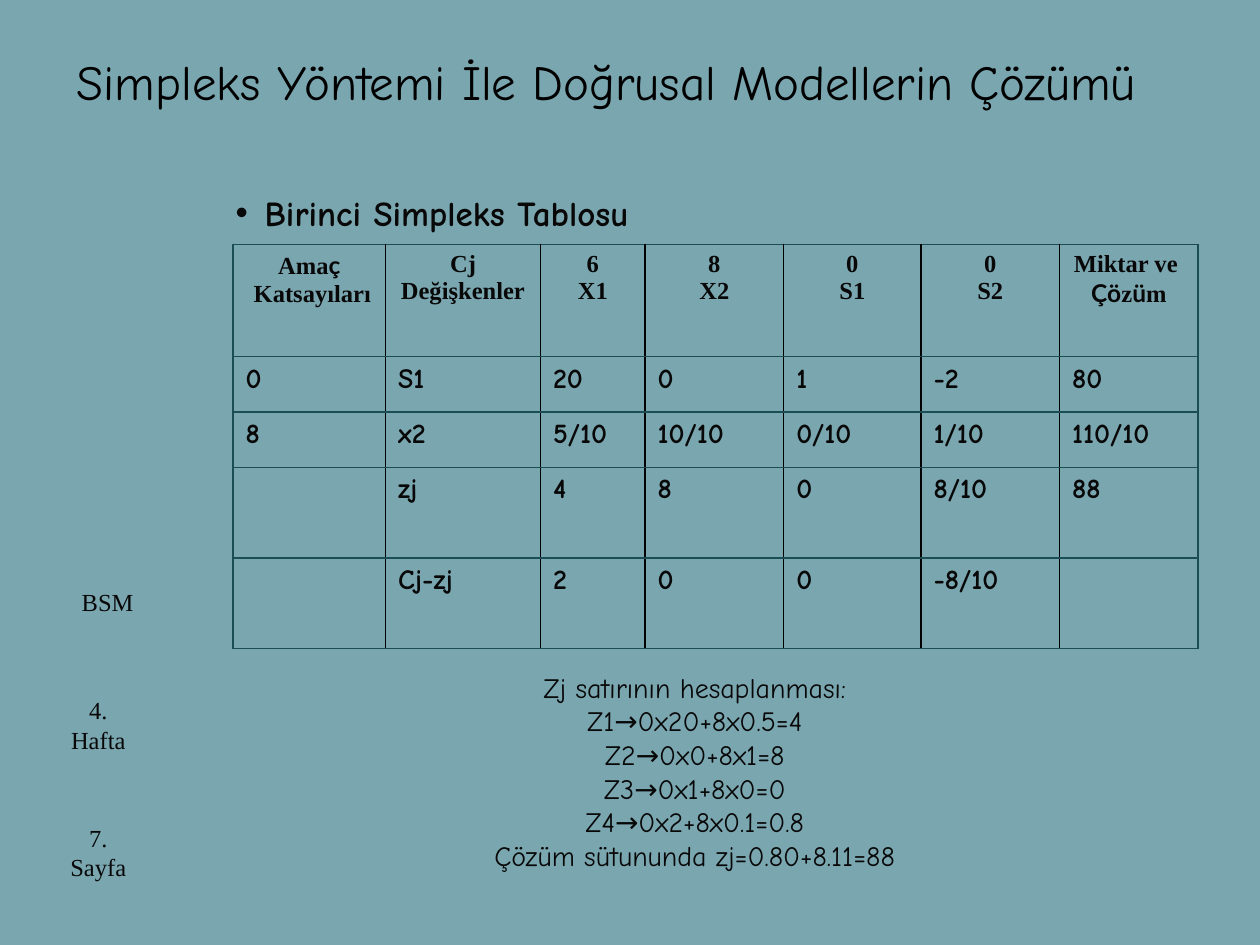
from dataclasses import dataclass
from itertools import groupby

from lxml import etree
from pptx import Presentation
from pptx.dml.color import RGBColor
from pptx.enum import text as t
from pptx.oxml import ns
from pptx.util import Inches, Pt


@dataclass(frozen=True)
class Theme:
    background: str = "7AA6B0"
    title: str = "000000"
    ink: str = "080808"
    frame: str = "1A4E54"
    rule: str = "000000"
    hand: str = "Comic Neue"
    serif: str = "Times New Roman"
    accented: str = "Lato"
    title_size: int = 28
    bullet_size: int = 20
    body_size: int = 16
    label_size: int = 14


TH = Theme()
CENTER = t.PP_ALIGN.CENTER
LEFT = t.PP_ALIGN.LEFT

TABLE_AT = (1.85, 1.94)
COLUMNS = (1.21, 1.23, 0.83, 1.1, 1.09, 1.1, 1.1)
ROWS = (0.89, 0.44, 0.44, 0.72, 0.72)
HEADERS = (
    "Amaç\n Katsayıları", "Cj\nDeğişkenler", "6\nX1", "8\nX2",
    "0\nS1", "0\nS2", "Miktar ve \nÇözüm",
)
VALUES = (
    ("0", "S1", "20", "0", "1", "-2", "80"),
    ("8", "x2", "5/10", "10/10", "0/10", "1/10", "110/10"),
    ("", "zj", "4", "8", "0", "8/10", "88"),
    ("", "Cj-zj", "2", "0", "0", "-8/10", ""),
)
CALCULATION = """Zj satırının hesaplanması:
Z1→0x20+8x0.5=4
Z2→0x0+8x1=8
Z3→0x1+8x0=0
Z4→0x2+8x0.1=0.8
Çözüm sütununda zj=0.80+8.11=88"""
LABELS = (
    ("BSM", (0.55, 4.61, 0.62, 0.34), LEFT),
    ("4. Hafta", (0.39, 5.47, 0.78, 0.7), CENTER),
    ("7.\nSayfa", (0.39, 6.48, 0.78, 0.62), CENTER),
)


def write(tf, content, *, size, font, color=TH.ink, bold=False, align=LEFT,
          indent=0, bullet=None, accent_font=None):
    """Write one paragraph per line; accent_font sets the letters ç, ö, ü."""
    for i, line in enumerate(content.split("\n")):
        p = tf.paragraphs[0] if i == 0 else tf.add_paragraph()
        p.alignment = align
        p.space_before = Pt(0)
        pPr = p._p.get_or_add_pPr()
        pPr.set("marL", str(Inches(indent)))
        pPr.set("indent", str(-Inches(indent)))
        if bullet:
            etree.SubElement(pPr, ns.qn("a:buChar")).set("char", bullet)
        for accented, letters in groupby(
                line, lambda ch: bool(accent_font) and ch in "çÇöü"):
            r = p.add_run()
            r.text = "".join(letters)
            r.font.name = accent_font if accented else font
            r.font.size = Pt(size)
            r.font.bold = bold
            r.font.color.rgb = RGBColor.from_string(color)


def place(sp, box, *, wrap=True, anchor=t.MSO_ANCHOR.TOP):
    sp.left, sp.top, sp.width, sp.height = map(Inches, box)
    tf = sp.text_frame
    tf.word_wrap = wrap
    tf.auto_size = t.MSO_AUTO_SIZE.NONE
    tf.vertical_anchor = anchor
    return tf


def add_text(s, content, box, *, anchor=t.MSO_ANCHOR.TOP, **style):
    sp = s.shapes.add_textbox(*map(Inches, box))
    write(place(sp, box, anchor=anchor), content, **style)


def set_borders(cell, **colors):
    tcPr = cell._tc.get_or_add_tcPr()
    for side in "LRTB":
        ln = etree.SubElement(tcPr, ns.qn(f"a:ln{side}"), w=str(Pt(1)))
        fill = etree.SubElement(ln, ns.qn("a:solidFill"))
        etree.SubElement(fill, ns.qn("a:srgbClr"), val=colors[side])


def add_simplex_table(s):
    x, y = TABLE_AT
    frame = s.shapes.add_table(len(ROWS), len(COLUMNS), Inches(x), Inches(y),
                               Inches(sum(COLUMNS)), Inches(sum(ROWS)))
    table = frame.table
    table.first_row = table.horz_banding = False
    for column, width in zip(table.columns, COLUMNS):
        column.width = Inches(width)
    for row, height in zip(table.rows, ROWS):
        row.height = Inches(height)

    header = dict(size=TH.label_size, font=TH.serif, align=CENTER,
                  accent_font=TH.accented)
    value = dict(size=TH.body_size, font=TH.hand)
    last = len(COLUMNS) - 1
    for i, row in enumerate((HEADERS, *VALUES)):
        for j, content in enumerate(row):
            cell = table.cell(i, j)
            set_borders(cell, T=TH.frame, B=TH.frame,
                        L=TH.frame if j == 0 else TH.rule,
                        R=TH.frame if j == last else TH.rule)
            cell.fill.background()
            write(cell.text_frame, content, bold=True, indent=0.38,
                  **(value if i else header))


def main():
    prs = Presentation()
    prs.slide_width, prs.slide_height = Inches(10), Inches(7.5)
    s = prs.slides.add_slide(prs.slide_layouts[1])
    s.background.fill.solid()
    s.background.fill.fore_color.rgb = RGBColor.from_string(TH.background)

    # Title and bullet line
    title, body = s.placeholders
    write(place(title, (0.51, 0.36, 9.23, 0.57), wrap=False),
          "Simpleks Yöntemi İle Doğrusal Modellerin Çözümü",
          size=TH.title_size, font=TH.hand, color=TH.title)
    write(place(body, (1.77, 1.47, 6.69, 0.43)), "Birinci Simpleks Tablosu",
          size=TH.bullet_size, font=TH.hand, bold=True, indent=0.23, bullet="•")

    # Simplex table and the calculation of its zj row
    add_simplex_table(s)
    add_text(s, CALCULATION, (1.93, 5.27, 7.17, 1.7), size=TH.body_size,
             font=TH.hand, align=CENTER, anchor=t.MSO_ANCHOR.MIDDLE)

    # Course, week and page labels
    for content, box, align in LABELS:
        add_text(s, content, box, size=TH.label_size, font=TH.serif, align=align)

    prs.save("out.pptx")


if __name__ == "__main__":
    main()
